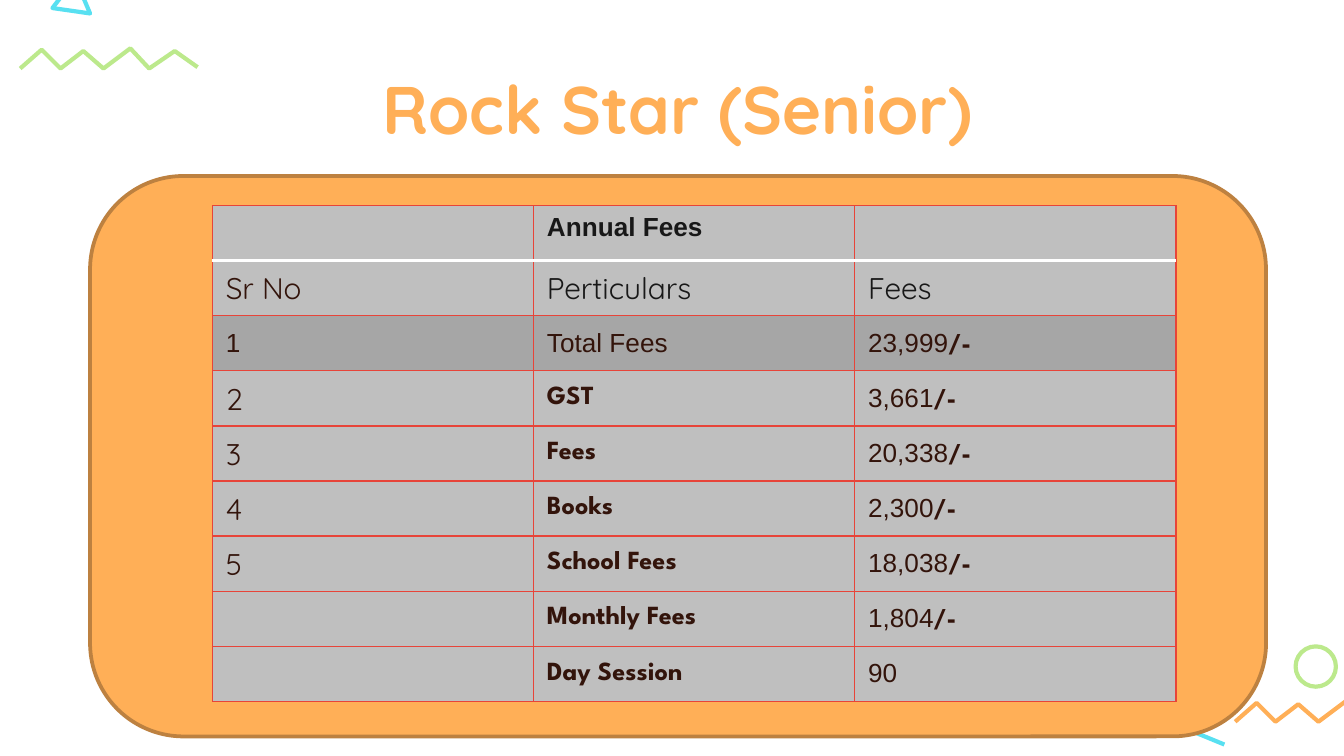
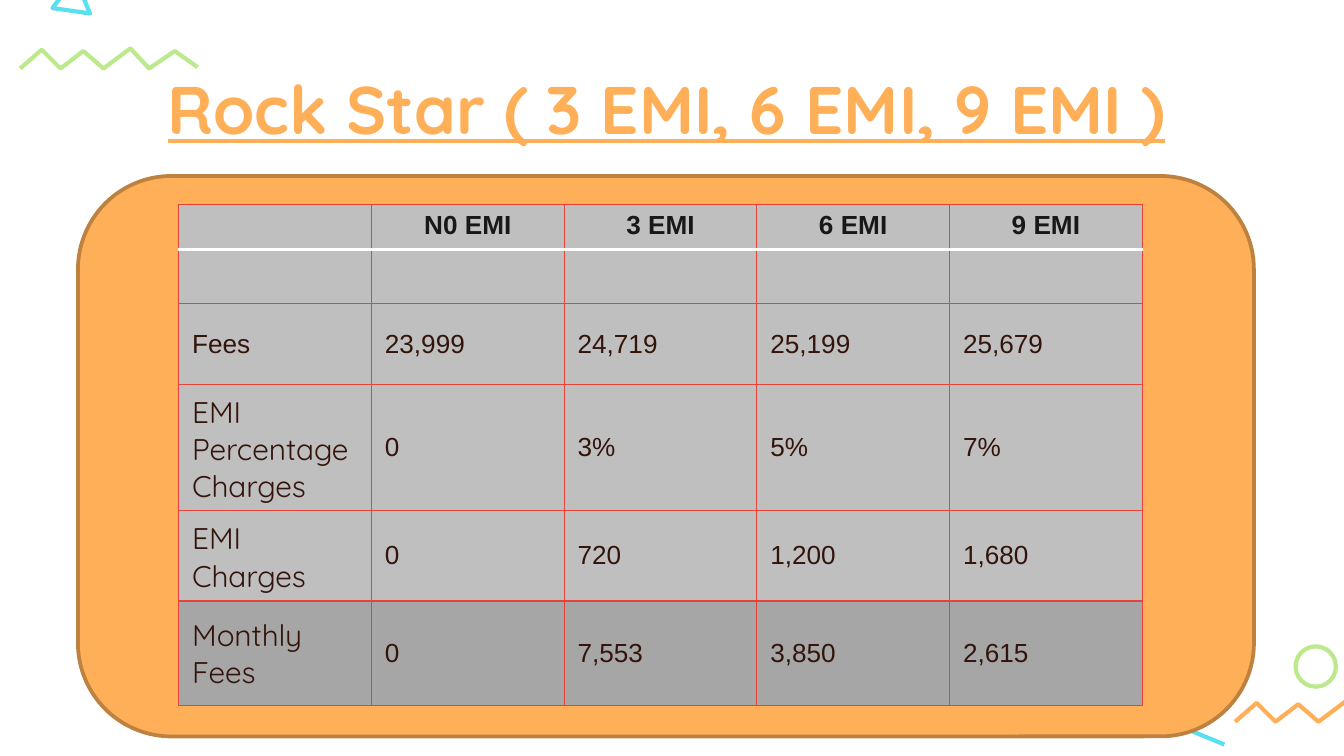
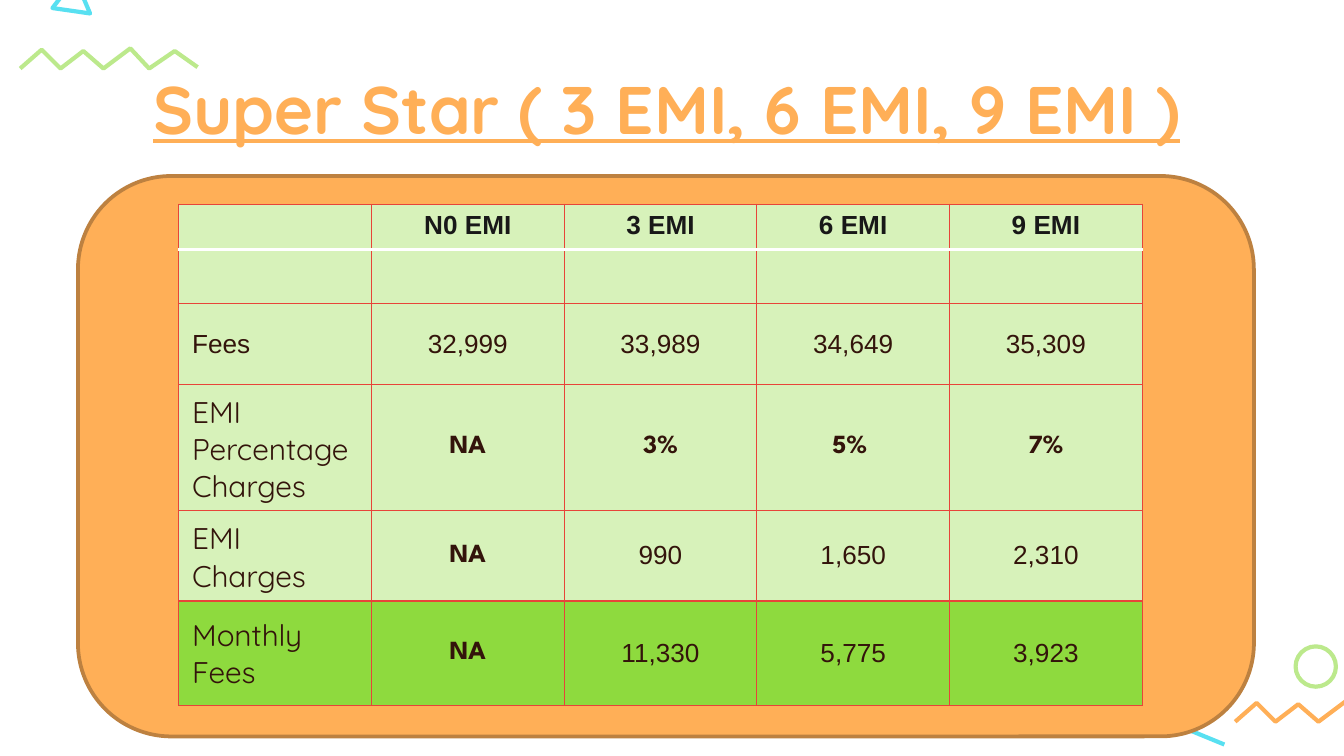
import pptx
import pptx.dml.color
import pptx.enum.shapes
import pptx.enum.text
import pptx.oxml
import pptx.oxml.ns
import pptx.util
from lxml import etree

# The grid: 100 columns over the slide's width, with square cells.
COLUMNS, ROWS = 100, 56.25
STEP = pptx.util.Inches(0.1)

COLORS = {
    "orange": "FFAF57", "brown": "BD8140", "lime": "BCE98C", "cyan": "58E0F1",
    "rule": "E74439", "white": "FFFFFF", "dark": "181818", "ink": "33140B",
    "grey": "BFBFBF", "deep grey": "A6A6A6",
    "mint": "D7F2BA", "deep green": "8EDA3E",
}

# font, size, bold, colour
STYLES = {
    "title": ("Quicksand", 36, True, "orange"),
    "head": ("Arial", 14, True, "dark"),
    "label": ("Quicksand", 16, False, "ink"),
    "dark label": ("Quicksand", 16, False, "dark"),
    "value": ("Arial", 14, False, "ink"),
    "strong": ("League Spartan", 14, True, "ink"),
}

ZIGZAG = [(1.5, 5.1), (3.1, 3.7), (4.5, 5.1), (6.2, 3.8), (7.7, 5.1),
          (9.7, 3.6), (11.1, 5.1), (13, 3.8), (14.7, 5)]
TRIANGLE = [(6.7, 1), (5.6, -1.6), (3.9, 0.6)]

LEFT = pptx.enum.text.PP_ALIGN.LEFT
CENTER = pptx.enum.text.PP_ALIGN.CENTER
TOP = pptx.enum.text.MSO_ANCHOR.TOP
MIDDLE = pptx.enum.text.MSO_ANCHOR.MIDDLE
BOTTOM = pptx.enum.text.MSO_ANCHOR.BOTTOM


def grid(*cells):
    """Turn grid counts into slide lengths."""
    return [pptx.util.Emu(round(cell * STEP)) for cell in cells]


def rgb(color):
    """Look up a named colour."""
    return pptx.dml.color.RGBColor.from_string(COLORS[color])


def outline(line, color, width=2.25):
    """Set a line's colour and width."""
    line.color.rgb = rgb(color)
    line.width = pptx.util.Pt(width)


def add_run(paragraph, text, style, underline=None):
    """Add one run in a named style."""
    run = paragraph.add_run()
    run.text = text
    font = run.font
    font.name, size, font.bold, color = STYLES[style]
    font.size = pptx.util.Pt(size)
    font.color.rgb = rgb(color)
    font.underline = underline


def add_path(slide, points, color, closed=False, shift=(0, 0)):
    """Draw an unfilled outline through grid points."""
    moved = [grid(x + shift[0], y + shift[1]) for x, y in points]
    builder = slide.shapes.build_freeform(*moved[0])
    builder.add_line_segments(moved[1:], close=closed)
    path = builder.convert_to_shape()
    path.shadow.inherit = False
    path.fill.background()
    outline(path.line, color)


def add_decor(slide):
    """Draw the doodles in the corners of every slide."""
    add_path(slide, ZIGZAG, "lime")
    add_path(slide, TRIANGLE, "cyan", closed=True)
    ring = slide.shapes.add_shape(
        pptx.enum.shapes.MSO_SHAPE.OVAL, *grid(96.4, 48.1, 3, 3))
    ring.shadow.inherit = False
    ring.fill.background()
    outline(ring.line, "lime")
    add_path(slide, ZIGZAG, "orange", shift=(90.4, 48.6))
    dash = slide.shapes.add_connector(
        pptx.enum.shapes.MSO_CONNECTOR.STRAIGHT, *grid(91.1, 55.4, 87.7, 54))
    outline(dash.line, "cyan")
    etree.SubElement(dash.element.spPr, pptx.oxml.ns.qn("a:effectLst"))


def add_title(slide, text, box, underline=None):
    """Add the centred orange title."""
    frame = slide.shapes.add_textbox(*grid(*box)).text_frame
    frame.word_wrap = True
    frame.margin_left = frame.margin_right = grid(1)[0]
    frame.margin_top = frame.margin_bottom = grid(1)[0]
    paragraph = frame.paragraphs[0]
    paragraph.alignment = CENTER
    add_run(paragraph, text, "title", underline)


def add_panel(slide, left):
    """Add the rounded panel behind the table."""
    panel = slide.shapes.add_shape(
        pptx.enum.shapes.MSO_SHAPE.ROUNDED_RECTANGLE,
        *grid(left, 13.1, 87.5, 41.7))
    panel.shadow.inherit = False
    panel.fill.solid()
    panel.fill.fore_color.rgb = rgb("orange")
    outline(panel.line, "brown", 2)


def add_borders(cell, row):
    """Rule a cell in red, with white below the header row."""
    properties = cell._tc.get_or_add_tcPr()
    white_side = {0: "B", 1: "T"}.get(row)
    for side in "LRTB":
        color, width = ("white", 2) if side == white_side else ("rule", 0.75)
        properties.append(pptx.oxml.parse_xml(
            f'<a:ln{side} {pptx.oxml.ns.nsdecls("a")} w="{pptx.util.Pt(width)}">'
            f'<a:solidFill><a:srgbClr val="{COLORS[color]}"/></a:solidFill>'
            f'</a:ln{side}>'))


def set_empty_style(paragraph, style):
    """Give an empty cell the text size that sets its row's height."""
    font, size = STYLES[style][:2]
    end = etree.SubElement(paragraph._p, pptx.oxml.ns.qn("a:endParaRPr"),
                           sz=str(size * 100))
    etree.SubElement(end, pptx.oxml.ns.qn("a:latin"), typeface=font)


def fill_cell(cell, row, runs, fill, anchor, alignment):
    """Rule, colour and write one table cell."""
    add_borders(cell, row)
    cell.fill.solid()
    cell.fill.fore_color.rgb = rgb(fill)
    cell.vertical_anchor = anchor
    cell.margin_left = cell.margin_right = grid(1)[0]
    cell.margin_top = cell.margin_bottom = grid(0.7 if row else 0.5)[0]
    paragraph = cell.text_frame.paragraphs[0]
    paragraph.alignment = alignment
    for text, style in runs:
        add_run(paragraph, text, style)
    if not runs:
        set_empty_style(paragraph, "label" if row else "head")


def add_fee_table(slide, corner, heights, rows, fills, anchors, align):
    """Add a table of equal columns; align(row, column) gives the alignment."""
    width = 71.7
    columns = len(rows[0])
    table = slide.shapes.add_table(
        len(rows), columns, *grid(*corner, width, sum(heights))).table
    table.first_row = table.horz_banding = False
    for column in table.columns:
        column.width = grid(width / columns)[0]
    for r, cells in enumerate(rows):
        table.rows[r].height = grid(heights[r])[0]
        for c, runs in enumerate(cells):
            fill_cell(table.cell(r, c), r, runs, fills[r], anchors[r], align(r, c))


def add_annual_slide(deck):
    """Build the slide with the annual fees."""
    slide = deck.slides.add_slide(deck.slide_layouts[6])
    add_decor(slide)
    add_title(slide, "Rock Star (Senior)", (13.4, 4, 74, 10.3))
    add_panel(slide, 6.7)
    items = [("1", "Total Fees", "23,999"), ("2", "GST", "3,661"),
             ("3", "Fees", "20,338"), ("4", "Books", "2,300"),
             ("5", "School Fees", "18,038"), ("", "Monthly Fees", "1,804"),
             ("", "Day Session", "90")]
    rows = [[[], [("Annual Fees", "head")], []],
            [[("Sr No", "label")], [("Perticulars", "dark label")],
             [("Fees", "dark label")]]]
    for number, item, amount in items:
        total = item == "Total Fees"
        suffix = [] if item == "Day Session" else [("/-", "strong")]
        rows.append([
            [(number, "value" if total else "label")] if number else [],
            [(item, "value" if total else "strong")],
            [(amount, "value")] + suffix])
    add_fee_table(slide, (15.8, 15.3), [4.1] * len(rows), rows,
                  ["grey"] * 2 + ["deep grey"] + ["grey"] * 6,
                  [TOP, BOTTOM] + [MIDDLE] * 7, lambda r, c: LEFT)


def add_emi_slide(deck, title, figures, fill, last_fill, alignment):
    """Build a slide that compares the instalment plans."""
    slide = deck.slides.add_slide(deck.slide_layouts[6])
    add_decor(slide)
    add_title(slide, title, (6.5, 4, 86.2, 8.4), underline=True)
    add_panel(slide, 5.8)
    plans = ["N0 EMI", "3 EMI", "6 EMI", "9 EMI"]
    labels = [("Fees", "value"), ("EMI Percentage Charges", "label"),
              ("EMI Charges", "label"), ("Monthly Fees", "label")]
    rows = [[[]] + [[(plan, "head")] for plan in plans], [[]] * 5]
    for label, values in zip(labels, figures):
        strong_row = "NA" in values and "3%" in values
        rows.append([[label]] + [
            [(value, "strong" if strong_row or value == "NA" else "value")]
            for value in values])
    add_fee_table(slide, (13.3, 15.2), [2.8, 3.5, 6, 8.5, 6.4, 7.8], rows,
                  [fill] * 5 + [last_fill], [TOP] + [MIDDLE] * 5,
                  lambda r, c: CENTER if r == 0 else alignment if c else LEFT)


def main():
    """Build the three fee slides and save them."""
    deck = pptx.Presentation()
    deck.slide_width, deck.slide_height = grid(COLUMNS, ROWS)
    add_annual_slide(deck)
    add_emi_slide(deck, "Rock Star ( 3 EMI, 6 EMI, 9 EMI )", [
        ["23,999", "24,719", "25,199", "25,679"],
        ["0", "3%", "5%", "7%"],
        ["0", "720", "1,200", "1,680"],
        ["0", "7,553", "3,850", "2,615"],
    ], "grey", "deep grey", LEFT)
    add_emi_slide(deck, "Super Star ( 3 EMI, 6 EMI, 9 EMI )", [
        ["32,999", "33,989", "34,649", "35,309"],
        ["NA", "3%", "5% ", "7%"],
        ["NA", "990", "1,650", "2,310"],
        ["NA", "11,330", "5,775", "3,923"],
    ], "mint", "deep green", CENTER)
    deck.save("out.pptx")


main()
